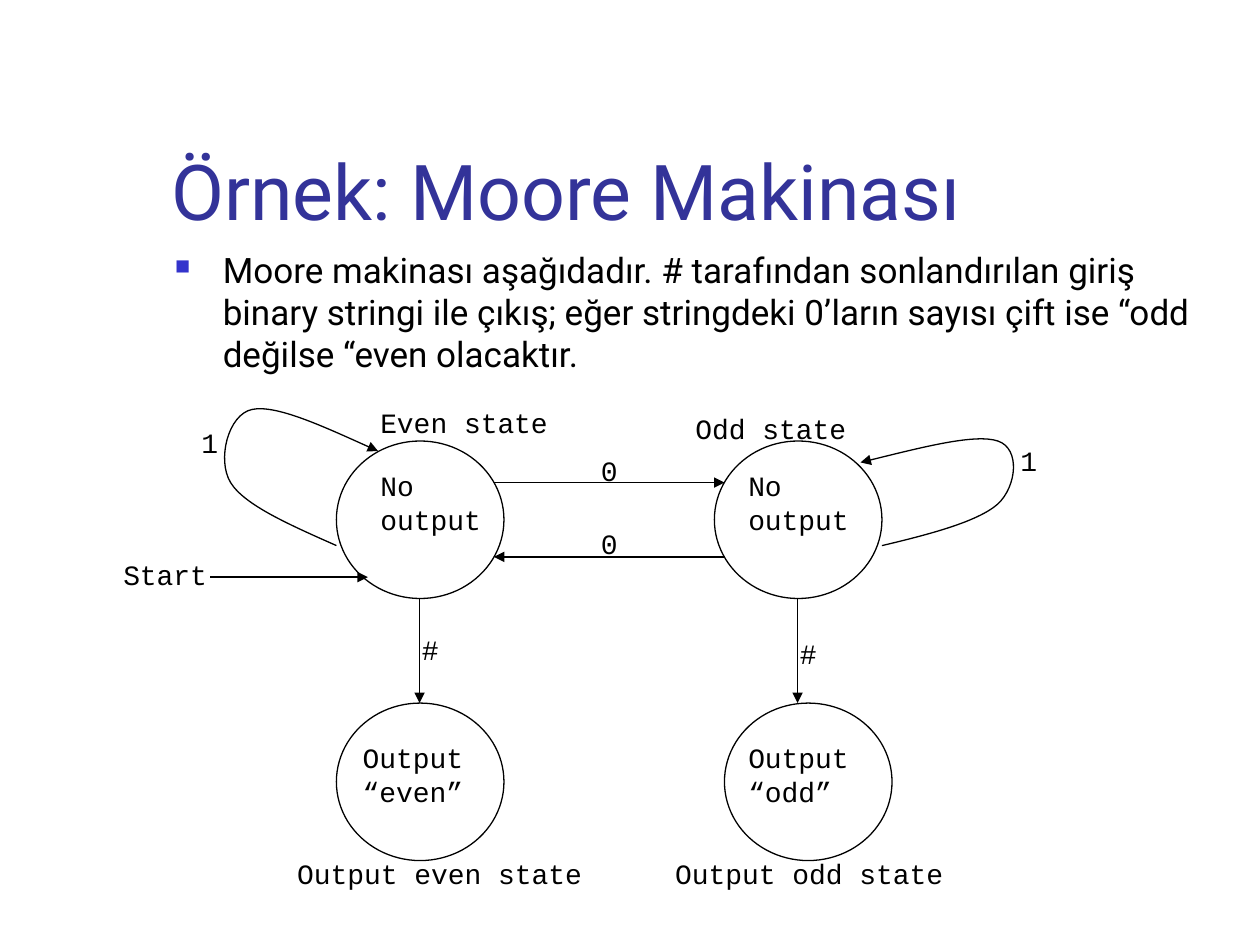
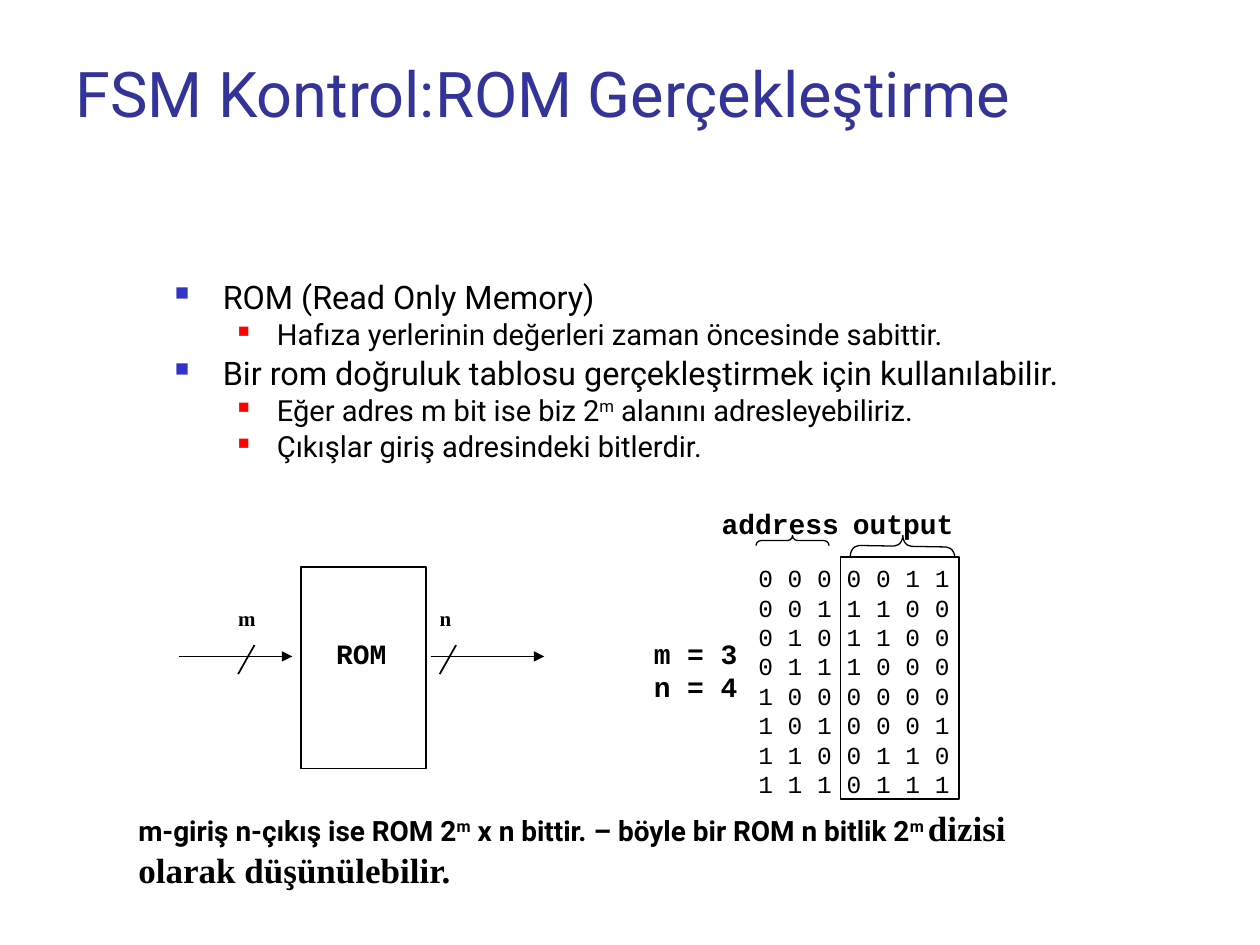
from lxml import etree
from pptx import Presentation
from pptx.dml.color import RGBColor
from pptx.enum.shapes import MSO_CONNECTOR, MSO_SHAPE
from pptx.enum.text import MSO_ANCHOR, MSO_AUTO_SIZE, PP_ALIGN
from pptx.oxml.ns import qn
from pptx.util import Emu, Pt

SCALE = 9144  # EMU per px, 100 px to the inch
STRAIGHT = MSO_CONNECTOR.STRAIGHT
OVAL = MSO_SHAPE.OVAL
RECT = MSO_SHAPE.RECTANGLE
BRACE = MSO_SHAPE.RIGHT_BRACE
TOP, BOTTOM = MSO_ANCHOR.TOP, MSO_ANCHOR.BOTTOM
GROW = MSO_AUTO_SIZE.SHAPE_TO_FIT_TEXT
LEFT = PP_ALIGN.LEFT

COLORS = {"title": "333399", "ink": "000000", "paper": "FFFFFF",
          "blue": "3333CC", "red": "FF0000"}
SANS, MONO, SERIF = "Roboto", "Courier New", "Times New Roman"

# indent, hang, bullet colour, bullet percent, space before
LEVELS = [(38, 38, "blue", 60, 5), (81, 31, "red", 55, 4.5)]

OUTPUTS = ["0011", "1100", "1100", "1000", "0000", "0001", "0110", "0111"]


def px(n):
    return Emu(n * SCALE)


def rgb(name):
    return RGBColor.from_string(COLORS[name])


def style(font, size, face, color="ink", bold=False):
    font.size, font.name, font.bold = Pt(size), face, bold
    font.color.rgb = rgb(color)


def add_runs(par, text):
    """Add text to a paragraph; parts between carets are superscript."""
    for i, part in enumerate(text.split("^")):
        run = par.add_run()
        run.text = part
        if i % 2:
            run._r.get_or_add_rPr().set("baseline", "30000")


def add_frame(slide, box, wrap=True, anchor=TOP, inset=(10, 5)):
    frame = slide.shapes.add_textbox(*map(px, box)).text_frame
    frame.word_wrap, frame.vertical_anchor = wrap, anchor
    frame.margin_left = frame.margin_right = px(inset[0])
    frame.margin_top = frame.margin_bottom = px(inset[1])
    return frame


def add_pars(frame, count):
    """Return the frame's first paragraph and new ones up to count."""
    pars = [frame.paragraphs[0]]
    pars += [frame.add_paragraph() for _ in range(count - 1)]
    for par in pars:
        par.alignment = LEFT
    return pars


def add_title(slide, text, box, size):
    par = add_pars(add_frame(slide, box, anchor=BOTTOM), 1)[0]
    style(par.font, size, SANS, "title")
    add_runs(par, text)


def add_label(slide, text, box, size=16, bold=False):
    """Add unwrapped text whose box grows to hold it."""
    lines = text.split("\n")
    frame = add_frame(slide, box, wrap=False)
    frame.auto_size = GROW
    for par, line in zip(add_pars(frame, len(lines)), lines):
        style(par.font, size, MONO, bold=bold)
        add_runs(par, line)


def add_bullet(par, level):
    indent, hang, color, percent, _ = LEVELS[level]
    props = par._p.get_or_add_pPr()
    props.set("marL", str(px(indent)))
    props.set("indent", str(-px(hang)))
    tint = etree.SubElement(props, qn("a:buClr"))
    etree.SubElement(tint, qn("a:srgbClr")).set("val", COLORS[color])
    etree.SubElement(props, qn("a:buSzPct")).set("val", str(percent * 1000))
    etree.SubElement(props, qn("a:buChar")).set("char", "■")


def add_list(slide, items, box, sizes, spacing=1.0):
    """Add a bulleted list of (level, text) items."""
    pars = add_pars(add_frame(slide, box), len(items))
    for i, (par, (level, text)) in enumerate(zip(pars, items)):
        add_bullet(par, level)
        par.line_spacing = spacing
        par.space_before = Pt(LEVELS[level][4] if i else 0)
        style(par.font, sizes[level], SANS)
        add_runs(par, text)


def set_line(shape, width, arrow=False):
    shape.line.color.rgb = rgb("ink")
    shape.line.width = Pt(width)
    if arrow:
        ln = shape.element.spPr.find(qn("a:ln"))
        etree.SubElement(ln, qn("a:tailEnd")).set("type", "triangle")


def add_line(slide, x1, y1, x2, y2, width=0.75, arrow=True):
    line = slide.shapes.add_connector(STRAIGHT, *map(px, (x1, y1, x2, y2)))
    set_line(line, width, arrow)
    etree.SubElement(line.element.spPr, qn("a:effectLst"))


def add_form(slide, kind, box, width=0.75, fill=None):
    form = slide.shapes.add_shape(kind, *map(px, box))
    form.shadow.inherit = False
    if fill:
        form.fill.solid()
        form.fill.fore_color.rgb = rgb(fill)
    else:
        form.fill.background()
    set_line(form, width)
    return form


def add_brace(slide, box, turn, bend):
    brace = add_form(slide, BRACE, box)
    brace.rotation = turn
    brace.adjustments[0] = bend


def add_loop(slide, points):
    """Draw an arrow of cubic curves: a start, then three points a curve."""
    pen = slide.shapes.build_freeform(*points[0], scale=SCALE)
    pen.add_line_segments(points[1:], close=False)
    loop = pen.convert_to_shape()
    loop.shadow.inherit = False
    loop.fill.background()
    set_line(loop, 0.75, arrow=True)
    track = next(loop.element.iter(qn("a:path")))
    steps = track.findall(qn("a:lnTo"))
    for i in range(0, len(steps), 3):
        curve = etree.SubElement(track, qn("a:cubicBezTo"))
        for step in steps[i:i + 3]:
            curve.append(step[0])
            track.remove(step)


def draw_moore(slide):
    add_title(slide, "Örnek: Moore Makinası", (126, 67, 852, 125), 44)
    add_list(slide, [(0, "Moore makinası aşağıdadır. # tarafından sonlandırılan "
                         "giriş binary stringi ile çıkış; eğer stringdeki 0’ların "
                         "sayısı çift ise “odd değilse “even olacaktır.")],
             (129, 192, 850, 450), [20])
    for x, y in [(267, 350), (567, 350), (267, 558), (575, 558)]:
        add_form(slide, OVAL, (x, y, 133, 125))

    for ends in [(392, 383, 575, 383), (575, 442, 392, 442),
                 (333, 475, 333, 558), (633, 475, 633, 558),
                 (167, 458, 292, 458)]:
        add_line(slide, *ends)
    add_loop(slide, [(267, 433), (231, 417), (194, 401), (183, 383), (172, 365),
                     (181, 329), (200, 325), (219, 321), (260, 340), (300, 358)])
    add_loop(slide, [(700, 433), (738, 424), (776, 414), (792, 400), (807, 386),
                     (810, 356), (792, 350), (774, 344), (728, 356), (683, 367)])

    for text, x, y, wide in [
            ("Even state", 292, 317, 154), ("Odd state", 542, 322, 141),
            ("Output even state", 226, 675, 248),
            ("Output odd state", 526, 675, 234), ("Start", 88, 438, 88),
            ("0", 467, 355, 34), ("0", 467, 413, 34),
            ("1", 800, 347, 34), ("1", 150, 333, 34),
            ("#", 325, 497, 34), ("#", 625, 500, 34)]:
        add_label(slide, text, (x, y, wide, 37))
    for text, x, y, wide in [
            ("No\noutput", 292, 367, 101), ("No\noutput", 584, 367, 101),
            ("Output\n“even”", 278, 583, 101), ("Output\n“odd”", 584, 583, 101)]:
        add_label(slide, text, (x, y, wide, 64))


def draw_rom(slide):
    """Draw the ROM block with its input and output bus."""
    add_form(slide, RECT, (239, 450, 99, 160), 1, "paper")
    for name, x, slash, start in [("m", 187, 189, 142), ("n", 347, 349, 342)]:
        add_line(slide, slash + 13, 512, slash, 535, 1, arrow=False)
        add_line(slide, start, 521, start + 90, 521, 1)
        par = add_pars(add_frame(slide, (x, 478, 57, 33), inset=(2, 3)), 1)[0]
        par.line_spacing = Pt(14)
        style(par.font, 12, SERIF, bold=True)
        add_runs(par, name)
    add_label(slide, "ROM", (257, 500, 61, 37), bold=True)


def draw_truth(slide):
    """Draw the truth table with its braces and headings."""
    rows = [" ".join(f"{i:03b}{out}") for i, out in enumerate(OUTPUTS)]
    add_label(slide, "\n".join(rows), (592, 442, 172, 196), 14)
    add_form(slide, RECT, (667, 442, 94, 192), 1)
    add_label(slide, "m = 3\nn = 4", (509, 500, 88, 64), bold=True)
    add_brace(slide, (708, 392, 17, 83), 271, 0.41)
    add_brace(slide, (625, 400, 8, 58), 270, 0.5)
    add_label(slide, "output", (667, 397, 101, 37), bold=True)
    add_label(slide, "address", (563, 397, 114, 37), bold=True)


def draw_note(slide):
    first, last = add_pars(add_frame(slide, (100, 635, 786, 77)), 2)
    style(first.font, 16, SANS, bold=True)
    add_runs(first, "m-giriş n-çıkış ise ROM 2^m^ x n bittir. "
                    "– böyle bir ROM n bitlik 2^m ^dizisi")
    style(first.runs[-1].font, 20, SERIF, bold=True)
    style(last.font, 20, SERIF, bold=True)
    add_runs(last, "olarak düşünülebilir.")


def draw_control(slide):
    add_title(slide, "FSM Kontrol:ROM Gerçekleştirme", (50, 30, 900, 78), 36)
    add_list(slide, [
        (0, "ROM (Read Only Memory)"),
        (1, "Hafıza yerlerinin değerleri zaman öncesinde sabittir."),
        (0, "Bir rom doğruluk tablosu gerçekleştirmek için kullanılabilir."),
        (1, "Eğer adres m bit ise biz 2^m^ alanını adresleyebiliriz."),
        (1, "Çıkışlar giriş adresindeki bitlerdir.")],
        (129, 221, 850, 450), [18.5, 16.6], 0.8)
    draw_rom(slide)
    draw_truth(slide)
    draw_note(slide)


def main():
    deck = Presentation()
    deck.slide_width, deck.slide_height = px(1000), px(750)
    for draw in (draw_moore, draw_control):
        draw(deck.slides.add_slide(deck.slide_layouts[6]))
    deck.save("out.pptx")


if __name__ == "__main__":
    main()
